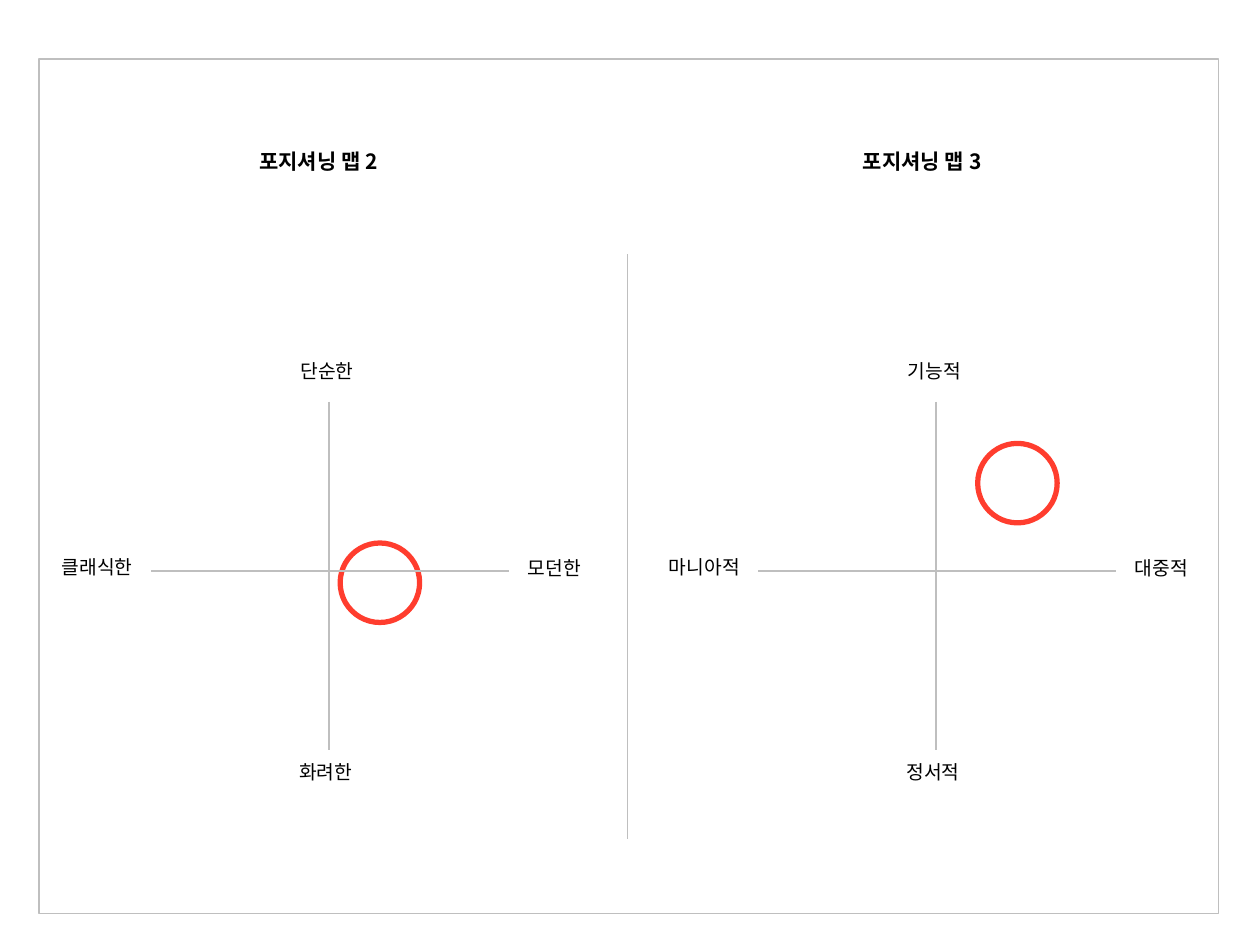
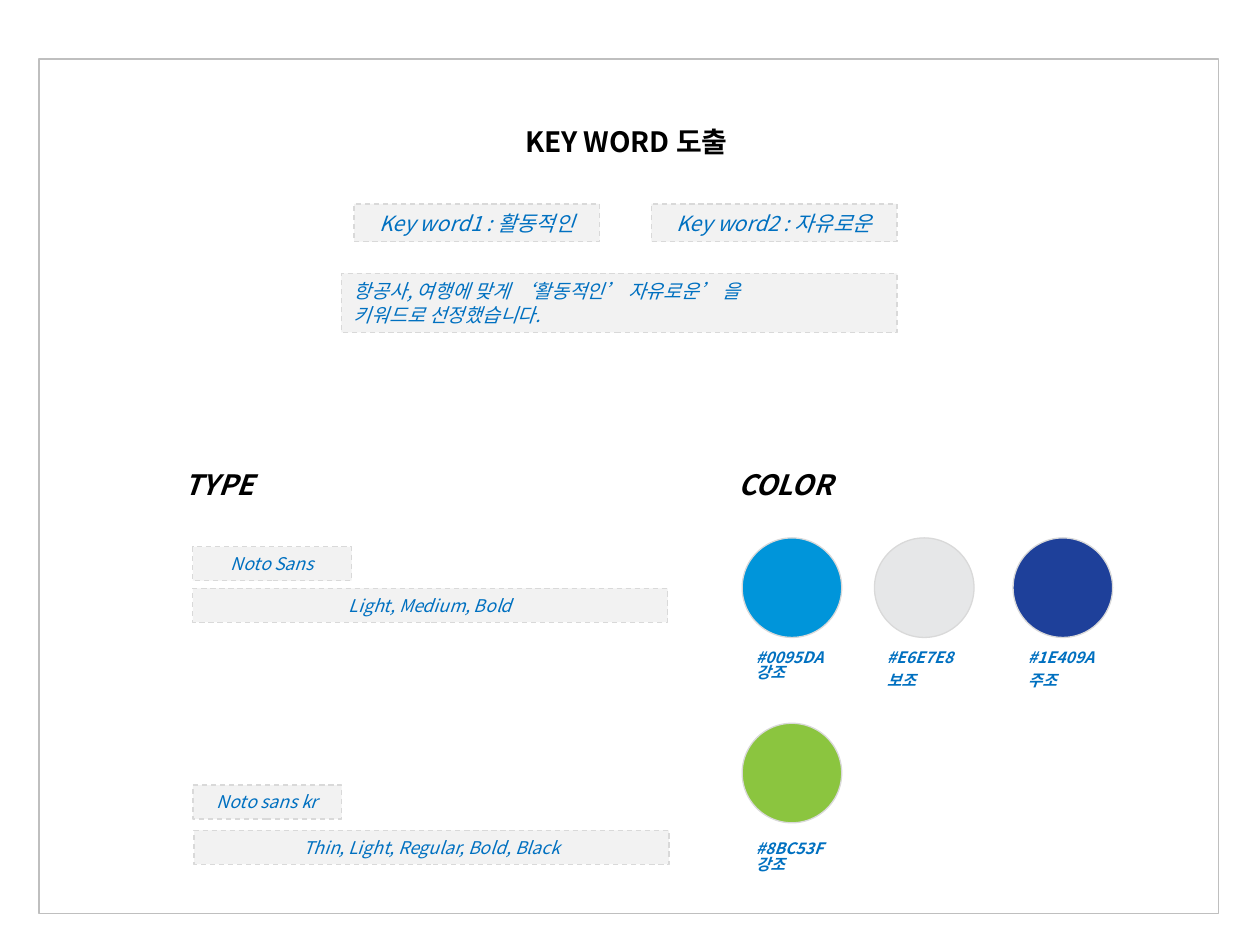
"""Build two slides: positioning maps, and keywords with type and colour choices."""
from dataclasses import dataclass

from lxml.etree import SubElement
from pptx import Presentation
from pptx.dml.color import RGBColor
from pptx.enum.dml import MSO_LINE as Dash
from pptx.enum.shapes import MSO_CONNECTOR as Connector, MSO_SHAPE as Preset
from pptx.enum.text import MSO_ANCHOR as Anchor, MSO_AUTO_SIZE as AutoSize, PP_ALIGN as Align
from pptx.oxml.ns import qn
from pptx.shapes.autoshape import Shape
from pptx.slide import Slide
from pptx.text.text import TextFrame
from pptx.util import Pt

FONT = "Noto Sans CJK KR"
BLACK = RGBColor(0x00, 0x00, 0x00)
RULE_GREY = RGBColor(0xBF, 0xBF, 0xBF)
EDGE_GREY = RGBColor(0xD9, 0xD9, 0xD9)
PANEL_GREY = RGBColor(0xF2, 0xF2, 0xF2)
TEXT_BLUE = RGBColor(0x00, 0x70, 0xC0)
MARK_RED = RGBColor(0xFF, 0x3D, 0x2E)

AXIS_Y, AXIS_LENGTH, CENTRE_X = 326.2, 204.5, 101.5
MARK_SIZE, SWATCH_SIZE = 45.4, 56.9


@dataclass(frozen=True)
class Place:
    """Left, top, width and height in points."""
    left: float
    top: float
    width: float
    height: float

    def lengths(self) -> tuple:
        """Return the four values as slide lengths."""
        return Pt(self.left), Pt(self.top), Pt(self.width), Pt(self.height)


@dataclass(frozen=True)
class Style:
    """Look of a text."""
    size: float
    color: RGBColor = BLACK
    bold: bool = False
    italic: bool = False
    heading: bool = False
    align: Align = Align.LEFT


MAP_TITLE = Style(12, bold=True, heading=True)
AXIS_LABEL = Style(11)
PAGE_TITLE = Style(16, bold=True, heading=True)
SECTION_TITLE = Style(16, bold=True, italic=True, heading=True)
SWATCH_LABEL = Style(9, TEXT_BLUE, bold=True, italic=True, heading=True)
KEYWORD = Style(12, TEXT_BLUE, italic=True, align=Align.CENTER)
REASON = Style(11, TEXT_BLUE, italic=True)
TYPEFACE = Style(10, TEXT_BLUE, italic=True, align=Align.CENTER)


@dataclass(frozen=True)
class PositioningMap:
    """A two-axis map with its title, labels and mark."""
    left: float
    title: str
    title_left: float
    north: str
    south: str
    west: str
    east: str
    mark_left: float
    mark_top: float


@dataclass(frozen=True)
class Panel:
    """A dashed text panel."""
    place: Place
    lines: tuple[str, ...]
    style: Style


@dataclass(frozen=True)
class Swatch:
    """A colour circle with its label below."""
    left: float
    top: float
    color: RGBColor
    label_place: Place
    lines: tuple[str, ...]


MAPS = (
    PositioningMap(86.4, "포지셔닝 맵 2", 141.1, "단순한", "화려한", "클래식한", "모던한", 194.4, 310.3),
    PositioningMap(433.4, "포지셔닝 맵 3", 486, "기능적", "정서적", "마니아적", "대중적", 558.7, 253.4),
)
PANELS = (
    Panel(Place(372.2, 116.6, 140.4, 21.6), ("Key word2 : 자유로운",), KEYWORD),
    Panel(Place(202.3, 116.6, 140.4, 21.6), ("Key word1 : 활동적인",), KEYWORD),
    Panel(Place(195.1, 156.2, 317.5, 33.8),
          ("항공사, 여행에 맞게 ‘활동적인’ 자유로운’ 을", "키워드로 선정했습니다."), REASON),
    Panel(Place(110.2, 312.5, 90.7, 19.4), ("Noto Sans",), TYPEFACE),
    Panel(Place(110.2, 336.2, 271.4, 19.4), ("Light, Medium, Bold",), TYPEFACE),
    Panel(Place(110.2, 448.6, 85, 19.4), ("Noto sans kr",), TYPEFACE),
    Panel(Place(110.9, 474.5, 271.4, 19.4), ("Thin, Light, Regular, Bold, Black",), TYPEFACE),
)
SWATCHES = (
    Swatch(424.1, 307.4, RGBColor(0x00, 0x95, 0xDA), Place(424.8, 368.6, 54.7, 24.5), ("#0095DA강조",)),
    Swatch(499.7, 307.4, RGBColor(0xE6, 0xE7, 0xE8), Place(499.7, 368.6, 56.2, 30.2), ("#E6E7E8", "보조")),
    Swatch(578.9, 307.4, RGBColor(0x1E, 0x40, 0x9A), Place(580.3, 368.6, 54.7, 30.2), ("#1E409A", "주조")),
    Swatch(424.1, 413.3, RGBColor(0x8B, 0xC5, 0x3F), Place(424.8, 478.1, 54.7, 24.5), ("#8BC53F강조",)),
)


def write(frame: TextFrame, lines: tuple[str, ...], style: Style, wrap: bool = True) -> None:
    """Fill a text frame with one paragraph per line."""
    frame.word_wrap = wrap
    frame.auto_size = AutoSize.SHAPE_TO_FIT_TEXT
    for index, line in enumerate(lines):
        para = frame.add_paragraph() if index else frame.paragraphs[0]
        para.alignment = style.align
        if style.heading:
            para.line_spacing = 0.8
            para.space_before = Pt(style.size / 2)
        span = para.add_run()
        span.text = line
        font = span.font
        font.name, font.size = FONT, Pt(style.size)
        font.bold, font.italic = style.bold, style.italic
        font.color.rgb = style.color
        SubElement(font._element, qn("a:ea"), typeface=FONT)


def add_text(page: Slide, place: Place, lines: tuple[str, ...], style: Style, wrap: bool = True) -> None:
    """Add a text box."""
    write(page.shapes.add_textbox(*place.lengths()).text_frame, lines, style, wrap)


def add_figure(page: Slide, preset: Preset, place: Place, edge: RGBColor,
               weight: float = 0.75, fill: RGBColor | None = None) -> Shape:
    """Add a flat preset shape, hollow when no fill is given."""
    figure = page.shapes.add_shape(preset, *place.lengths())
    figure.shadow.inherit = False
    if fill is None:
        figure.fill.background()
    else:
        figure.fill.solid()
        figure.fill.fore_color.rgb = fill
    figure.line.color.rgb = edge
    figure.line.width = Pt(weight)
    return figure


def add_rule(page: Slide, x1: float, y1: float, x2: float, y2: float) -> None:
    """Add a thin grey line."""
    rule = page.shapes.add_connector(Connector.STRAIGHT, Pt(x1), Pt(y1), Pt(x2), Pt(y2))
    rule.line.color.rgb = RULE_GREY
    rule.line.width = Pt(1)
    SubElement(rule._element.spPr, qn("a:effectLst"))


def add_map(page: Slide, chart: PositioningMap) -> None:
    """Draw one positioning map."""
    left, centre = chart.left, chart.left + CENTRE_X
    add_text(page, Place(chart.title_left, 84.2, 89, 18.7), (chart.title,), MAP_TITLE)
    mark = Place(chart.mark_left, chart.mark_top, MARK_SIZE, MARK_SIZE)
    add_figure(page, Preset.OVAL, mark, MARK_RED, 3)
    add_rule(page, left, AXIS_Y, left + AXIS_LENGTH, AXIS_Y)
    add_rule(page, centre, 229.7, centre, 428.4)
    for text, x, y, width in (
        (chart.north, left + 78.2, 201.6, 47.5),
        (chart.south, left + 77.4, 430.6, 47.5),
        (chart.east, left + 208.1, 314.6, 47.5),
        (chart.west, left - 58.3, 313.9, 59),
    ):
        add_text(page, Place(x, y, width, 20.9), (text,), AXIS_LABEL, wrap=False)


def add_panel(page: Slide, panel: Panel) -> None:
    """Draw one dashed panel with its text."""
    box = add_figure(page, Preset.RECTANGLE, panel.place, EDGE_GREY, fill=PANEL_GREY)
    box.line.dash_style = Dash.DASH
    box.text_frame.vertical_anchor = Anchor.MIDDLE
    write(box.text_frame, panel.lines, panel.style)


def add_swatch(page: Slide, swatch: Swatch) -> None:
    """Draw one colour circle and its label."""
    place = Place(swatch.left, swatch.top, SWATCH_SIZE, SWATCH_SIZE)
    add_figure(page, Preset.OVAL, place, EDGE_GREY, fill=swatch.color)
    add_text(page, swatch.label_place, swatch.lines, SWATCH_LABEL)


def add_page(deck: Presentation) -> Slide:
    """Add a blank slide with the shared frame."""
    page = deck.slides.add_slide(deck.slide_layouts[6])
    add_figure(page, Preset.RECTANGLE, Place(22.3, 33.8, 673.9, 488.2), RULE_GREY)
    return page


def build_maps(deck: Presentation) -> None:
    """Build the slide with two positioning maps."""
    page = add_page(deck)
    add_rule(page, 358.6, 145.4, 358.6, 479.5)
    for chart in MAPS:
        add_map(page, chart)


def build_keywords(deck: Presentation) -> None:
    """Build the slide with keywords, typefaces and colours."""
    page = add_page(deck)
    add_text(page, Place(293, 71.3, 142.6, 23), ("KEY WORD 도출",), PAGE_TITLE)
    for title, left in (("TYPE", 98.6), ("COLOR", 414.7)):
        add_text(page, Place(left, 267.1, 80.6, 23), (title,), SECTION_TITLE)
    for panel in PANELS:
        add_panel(page, panel)
    for swatch in SWATCHES:
        add_swatch(page, swatch)


def main() -> None:
    """Build and save the deck."""
    deck = Presentation()
    deck.slide_width, deck.slide_height = Pt(720), Pt(540)
    build_maps(deck)
    build_keywords(deck)
    deck.save("out.pptx")


if __name__ == "__main__":
    main()
